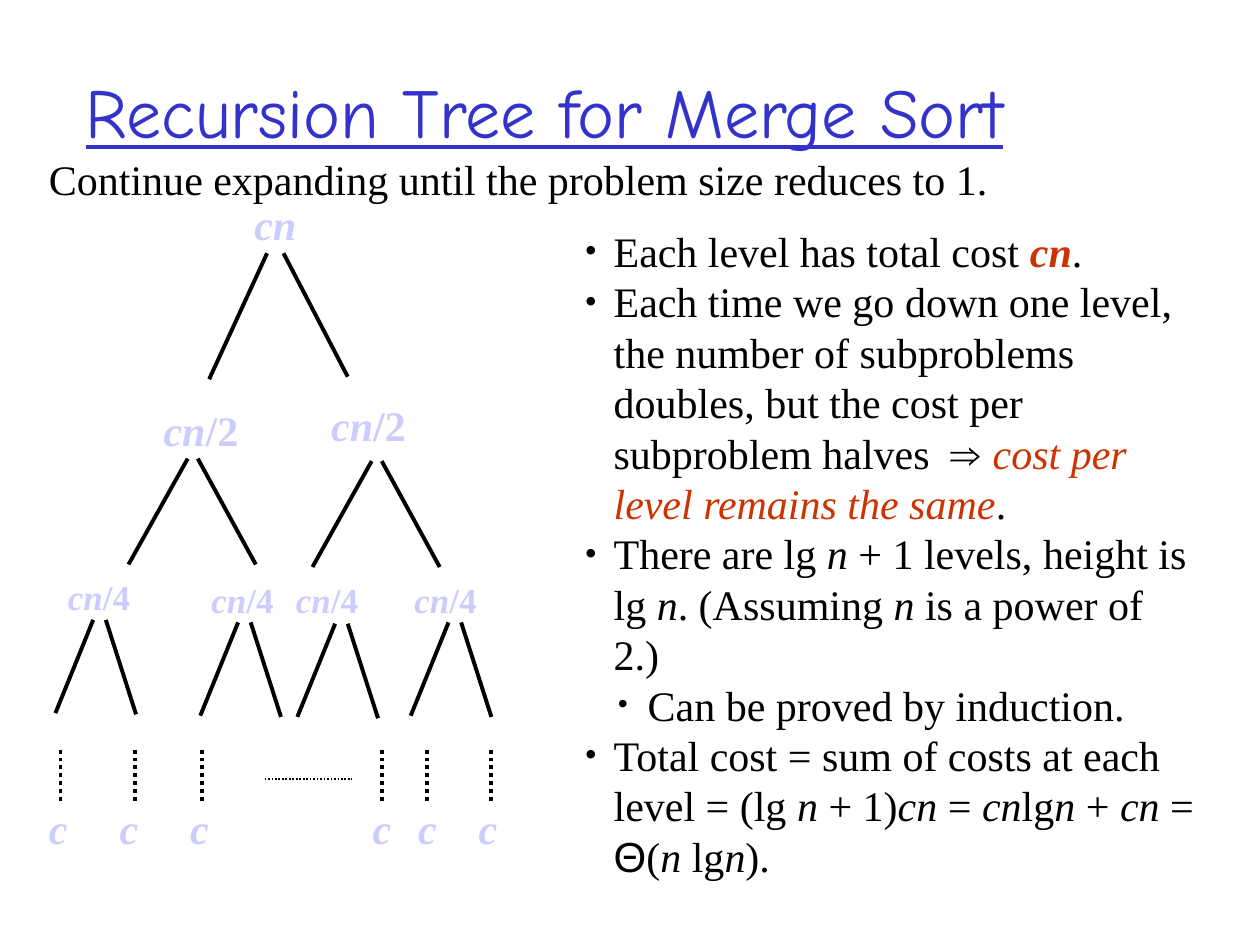
"""Build the slide on the recursion tree for merge sort."""
from lxml.etree import SubElement
from pptx import Presentation
from pptx.dml.color import RGBColor as Rgb
from pptx.enum.dml import MSO_LINE as Dash
from pptx.enum.shapes import MSO_CONNECTOR as Conn
from pptx.enum.text import MSO_ANCHOR as Anchor, MSO_AUTO_SIZE as Fit, PP_ALIGN as Align
from pptx.oxml.ns import qn
from pptx.util import Inches, Pt

HUES = {"text": "000000", "title": "3333CC", "node": "CCCCFF", "key": "CC3300"}
SERIF = "Times New Roman"
PLAIN = {"name": SERIF, "size": 24, "color": "text"}
NODE = {"name": SERIF, "size": 24, "color": "node", "bold": True}
HEAD = {"name": "Comic Neue", "size": 40, "color": "title", "underline": True}
ITAL = {"italic": True}
KEY = {"italic": True, "color": "key"}
SANS = {"name": "Arial"}
N, CN = ("n", ITAL), ("cn", ITAL)

TITLE = "Recursion Tree for Merge Sort"
LEAD = "Continue expanding until the problem size reduces to 1."
POINTS = [
    (0, ["Each level has total cost ", ("cn", {**KEY, "bold": True}), "."]),
    (0, ["Each time we go down one level, the number of subproblems doubles, "
         "but the cost per subproblem halves  ", ("⇒ ", SANS),
         ("cost per level remains the same", KEY), "."]),
    (0, ["There are lg ", N, " + 1 levels, height is lg ", N,
         ". (Assuming ", N, " is a power of 2.)"]),
    (1, ["Can be proved by induction."]),
    (0, ["Total cost = sum of costs at each level = (lg ", N, " + 1)", CN,
         " = ", CN, "lg", N, " + ", CN, " = ", ("Θ", SANS), "(",
         ("n ", ITAL), "lg", N, ")."]),
]
LEVELS = [
    {"label": [CN], "size": 24, "box": (0.53, 0.5), "gap": 0.13,
     "left": (-0.46, 1), "right": (0.51, 0.98),
     "nodes": [((1.92, 1.53), (2.12, 2.01))]},
    {"label": [CN, "/2"], "size": 24, "box": (0.79, 0.5), "gap": 0.08,
     "left": (-0.47, 0.84), "right": (0.46, 0.84),
     "nodes": [((1.2, 3.16), (1.49, 3.64)), ((2.53, 3.12), (2.95, 3.66))]},
    {"label": [CN, "/4"], "size": 20, "box": (0.7, 0.44), "gap": 0.1,
     "left": (-0.3, 0.74), "right": (0.24, 0.75),
     "nodes": [((0.44, 4.52), (0.74, 4.92)), ((1.58, 4.54), (1.89, 4.94)),
               ((2.25, 4.54), (2.66, 4.95)), ((3.19, 4.54), (3.56, 4.94))]},
]
LEAVES = [(0.29, 0.48), (0.85, 1.07), (1.41, 1.6),
          (2.86, 3.03), (3.22, 3.39), (3.7, 3.9)]


def style(font, form):
    for key, val in form.items():
        if key == "color":
            font.color.rgb = Rgb.from_string(HUES[val])
        else:
            setattr(font, key, Pt(val) if key == "size" else val)


def write(para, parts, base):
    for part in parts:
        text, form = (part, {}) if isinstance(part, str) else part
        run = para.add_run()
        run.text = text
        style(run.font, {**base, **form})


def place(shape, left, top, width, height):
    for key, val in zip(("left", "top", "width", "height"), (left, top, width, height)):
        setattr(shape, key, Inches(val))


def label(shapes, spot, box, parts, base):
    frame = shapes.add_textbox(*map(Inches, (*spot, *box))).text_frame
    frame.word_wrap = False
    frame.auto_size = Fit.SHAPE_TO_FIT_TEXT
    para = frame.paragraphs[0]
    para.alignment = Align.LEFT
    write(para, parts, base)


def stroke(shapes, start, end, width=2.25, dash=None):
    line = shapes.add_connector(Conn.STRAIGHT, *map(Inches, (*start, *end)))
    line.line.width = Pt(width)
    line.line.color.rgb = Rgb.from_string(HUES["text"])
    if dash:
        line.line.dash_style = dash
    SubElement(line.element.spPr, qn("a:effectLst"))


def bullet(para, level):
    props = para._p.get_or_add_pPr()
    props.set("marL", str(Inches((0.23, 0.5)[level])))
    props.set("indent", str(-Inches((0.23, 0.24)[level])))
    hue = SubElement(props, qn("a:buClr"))
    SubElement(hue, qn("a:srgbClr"), val=HUES["text"])
    SubElement(props, qn("a:buSzPct"), val=("85000", "75000")[level])
    SubElement(props, qn("a:buFont"), typeface=SERIF)
    SubElement(props, qn("a:buChar"), char="•")


def tree(shapes):
    for row in LEVELS:
        for spot, (x, y) in row["nodes"]:
            label(shapes, spot, row["box"], row["label"], {**NODE, "size": row["size"]})
            for side, dx in (("left", 0), ("right", row["gap"])):
                run, drop = row[side]
                stroke(shapes, (x + dx, y), (x + dx + run, y + drop))
    for left, x in LEAVES:
        stroke(shapes, (x, 5.95), (x, 6.38), dash=Dash.ROUND_DOT)
        label(shapes, (left, 6.32), (0.35, 0.5), [("c", ITAL)], NODE)
    stroke(shapes, (2.1, 6.18), (2.79, 6.18), width=1, dash=Dash.ROUND_DOT)


def main():
    deck = Presentation()
    deck.slide_width, deck.slide_height = Inches(10), Inches(7.5)
    slide = deck.slides.add_slide(deck.slide_layouts[1])
    title, body = slide.placeholders
    place(title, 0.58, 0.25, 8.5, 1.25)
    place(body, 4.54, 1.74, 5.06, 4.9)
    for shape, anchor in ((title, Anchor.MIDDLE), (body, Anchor.TOP)):
        frame = shape.text_frame
        for key, val in {"vertical_anchor": anchor, "auto_size": Fit.NONE,
                         "word_wrap": True}.items():
            setattr(frame, key, val)
    head = title.text_frame.paragraphs[0]
    head.alignment = Align.LEFT
    write(head, [TITLE], HEAD)
    frame = body.text_frame
    for i, (level, parts) in enumerate(POINTS):
        para = frame.add_paragraph() if i else frame.paragraphs[0]
        para.level = level
        para.space_before = Pt(0)
        bullet(para, level)
        write(para, parts, PLAIN)
    label(slide.shapes, (0.29, 1.17), (7.65, 0.5), [LEAD], PLAIN)
    tree(slide.shapes.add_group_shape().shapes)
    deck.save("out.pptx")


if __name__ == "__main__":
    main()
